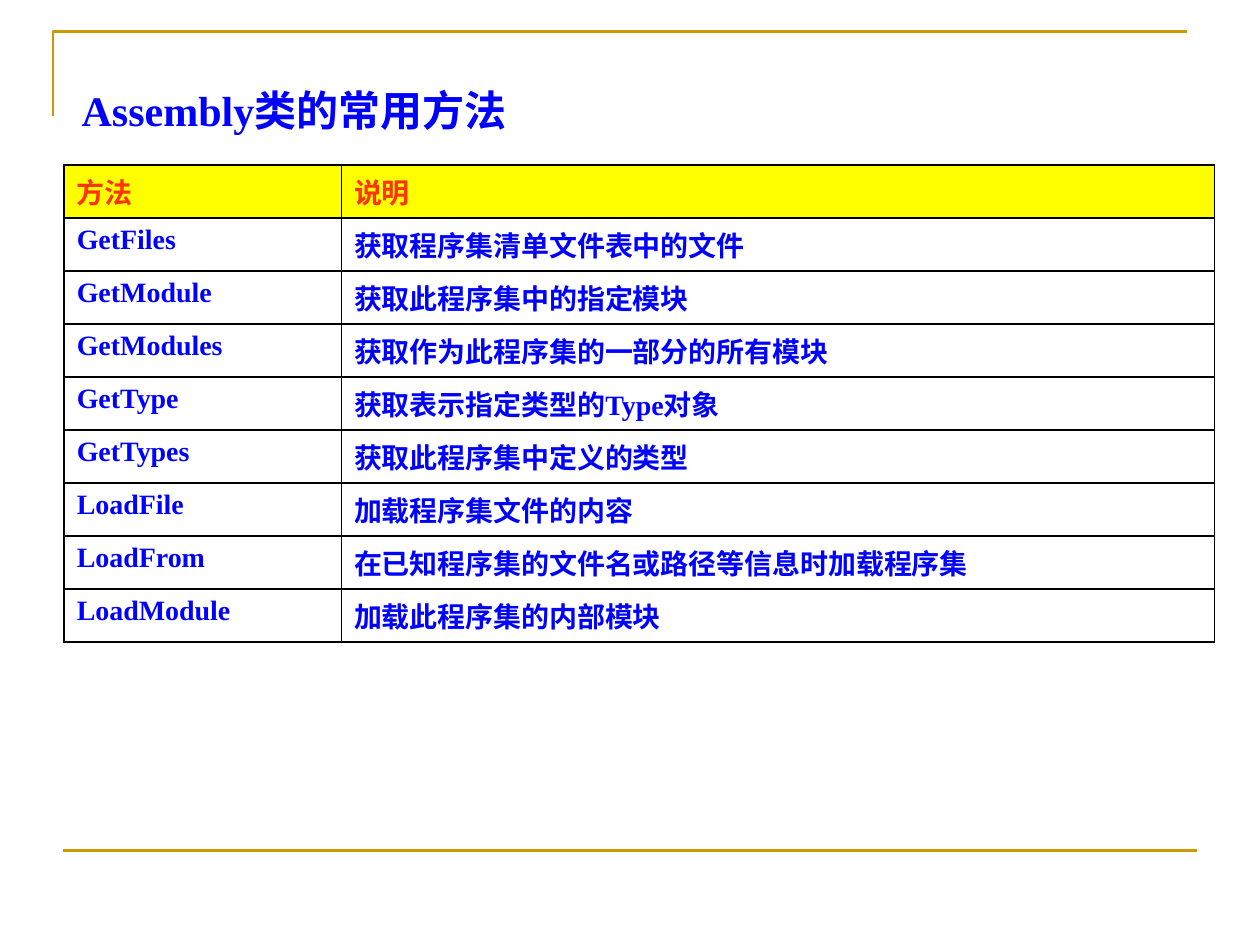
import lxml.etree
import pptx
import pptx.dml.color
import pptx.enum.shapes
import pptx.enum.text
import pptx.oxml.ns
import pptx.util

Inches = pptx.util.Inches
Pt = pptx.util.Pt
RGBColor = pptx.dml.color.RGBColor
qn = pptx.oxml.ns.qn

GOLD = RGBColor(0xCC, 0x99, 0x00)
BLUE = RGBColor(0x00, 0x00, 0xFF)
RED = RGBColor(0xFF, 0x33, 0x00)
YELLOW = RGBColor(0xFF, 0xFF, 0x00)
BLACK = RGBColor(0x00, 0x00, 0x00)
FONT = "Times New Roman"

METHODS = [
    ("方法", "说明"),
    ("GetFiles", "获取程序集清单文件表中的文件"),
    ("GetModule", "获取此程序集中的指定模块"),
    ("GetModules", "获取作为此程序集的一部分的所有模块"),
    ("GetType", "获取表示指定类型的Type对象"),
    ("GetTypes", "获取此程序集中定义的类型"),
    ("LoadFile", "加载程序集文件的内容"),
    ("LoadFrom", "在已知程序集的文件名或路径等信息时加载程序集"),
    ("LoadModule", "加载此程序集的内部模块"),
]


def write_text(text_frame, text, size, color):
    """Write one bold line of text in the slide font."""
    text_frame.text = text
    font = text_frame.paragraphs[0].runs[0].font
    font.name = FONT
    font.size = Pt(size)
    font.bold = True
    font.color.rgb = color


def style_line(line):
    """Give a frame line its colour and width."""
    line.color.rgb = GOLD
    line.width = Pt(1.5)


def add_corner(slide, left, top, width, height):
    """Draw the open corner line at the top left of the box."""
    builder = slide.shapes.build_freeform(left, top + height)
    builder.add_line_segments([(left, top), (left + width, top)], close=False)
    corner = builder.convert_to_shape()
    corner.shadow.inherit = False
    corner.fill.background()
    style_line(corner.line)


def add_footer_rule(slide, left, top, width):
    """Draw the horizontal line above the footer."""
    rule = slide.shapes.add_connector(
        pptx.enum.shapes.MSO_CONNECTOR.STRAIGHT, left, top, left + width, top)
    style_line(rule.line)
    lxml.etree.SubElement(rule._element.spPr, qn("a:effectLst"))


def add_title(slide, left, top, width, height):
    """Place the slide title in its box."""
    title = slide.shapes.add_textbox(left, top, width, height)
    title.text_frame.word_wrap = False
    title.text_frame.vertical_anchor = pptx.enum.text.MSO_ANCHOR.MIDDLE
    write_text(title.text_frame, "Assembly类的常用方法", 24, BLUE)


def add_borders(cell):
    """Draw a thin black border on all four sides of a cell."""
    properties = cell._tc.get_or_add_tcPr()
    for position, side in enumerate(("lnL", "lnR", "lnT", "lnB")):
        border = lxml.etree.Element(qn("a:" + side), w=str(Pt(1)))
        fill = lxml.etree.SubElement(border, qn("a:solidFill"))
        lxml.etree.SubElement(fill, qn("a:srgbClr"), val=str(BLACK))
        properties.insert(position, border)


def add_method_table(slide, left, top, column_widths, row_height):
    """Build the table of methods with a yellow header row."""
    table = slide.shapes.add_table(
        len(METHODS), len(column_widths), left, top,
        sum(column_widths), row_height * len(METHODS)).table
    for column, width in zip(table.columns, column_widths):
        column.width = width
    for row_index, texts in enumerate(METHODS):
        table.rows[row_index].height = row_height
        for column_index, text in enumerate(texts):
            cell = table.cell(row_index, column_index)
            if row_index == 0:
                cell.fill.solid()
                cell.fill.fore_color.rgb = YELLOW
            else:
                cell.fill.background()
            write_text(cell.text_frame, text, 16, BLUE if row_index else RED)
            add_borders(cell)


def build_slide(presentation):
    """Lay out the frame, the table and the title."""
    slide = presentation.slides.add_slide(presentation.slide_layouts[6])
    add_corner(slide, Inches(0.42), Inches(0.25), Inches(9), Inches(0.67))
    add_footer_rule(slide, Inches(0.5), Inches(6.75), Inches(9))
    add_method_table(slide, Inches(0.51), Inches(1.31),
                     (Inches(2.2), Inches(6.93)), Inches(0.42))
    add_title(slide, Inches(0.55), Inches(0.62), Inches(4.17), Inches(0.5))


presentation = pptx.Presentation()
presentation.slide_width = Inches(10)
presentation.slide_height = Inches(7.5)
build_slide(presentation)
presentation.save("out.pptx")
